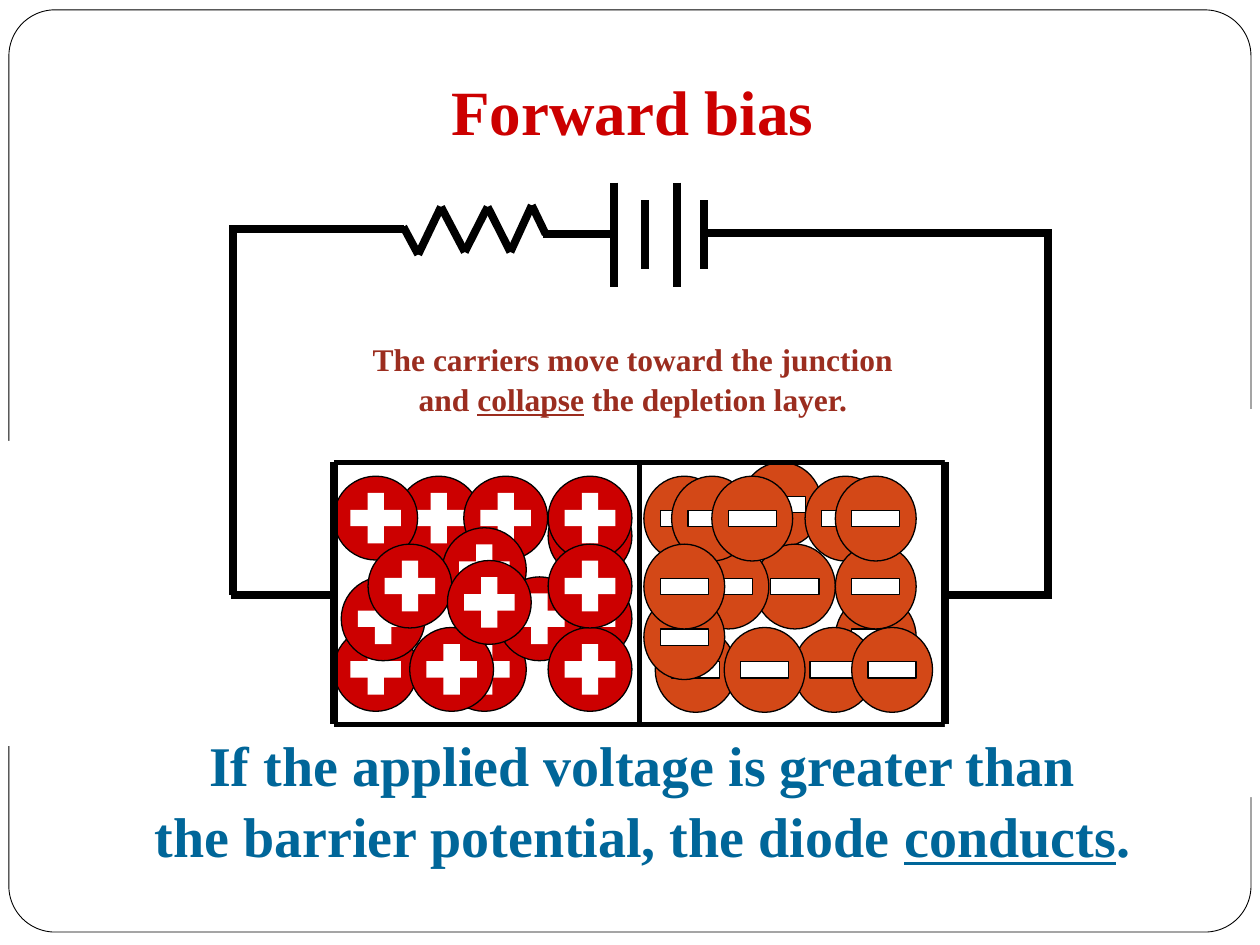
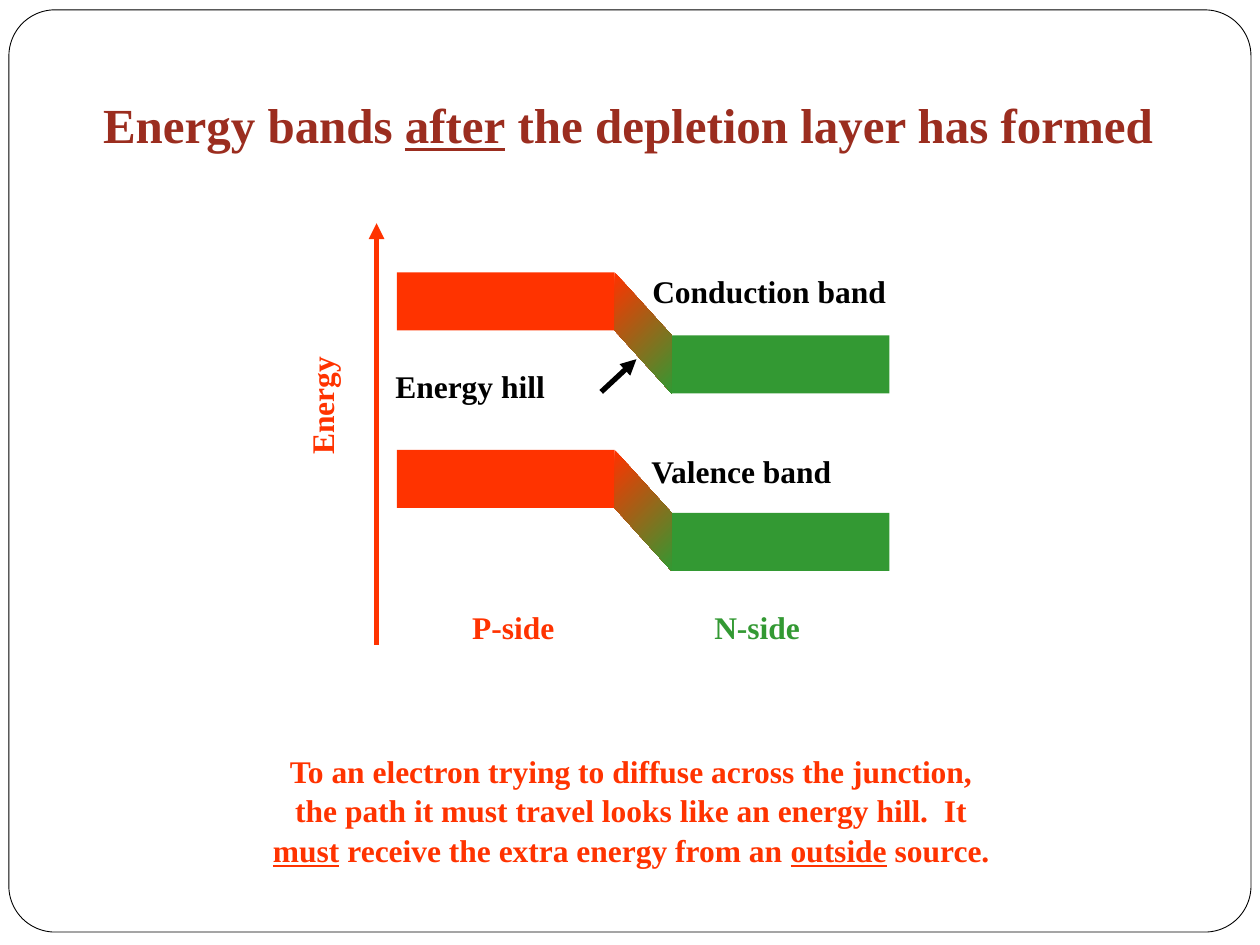
from itertools import pairwise

from lxml import etree
from pptx import Presentation
from pptx.dml.color import RGBColor
from pptx.enum.shapes import MSO_CONNECTOR, MSO_SHAPE
from pptx.enum.text import MSO_ANCHOR, MSO_AUTO_SIZE, PP_ALIGN
from pptx.oxml.ns import qn
from pptx.util import Cm, Pt

RECT, OVAL, ROUNDED = MSO_SHAPE.RECTANGLE, MSO_SHAPE.OVAL, MSO_SHAPE.ROUNDED_RECTANGLE
STRAIGHT = MSO_CONNECTOR.STRAIGHT
LEFT, CENTER = PP_ALIGN.LEFT, PP_ALIGN.CENTER
TOP, MIDDLE = MSO_ANCHOR.TOP, MSO_ANCHOR.MIDDLE
FIT = MSO_AUTO_SIZE.SHAPE_TO_FIT_TEXT

FONT = "Times New Roman"
BLACK, WHITE = "000000", "FFFFFF"
RED, ORANGE, BRICK, BLUE = "CC0000", "D34817", "9B2D1F", "006699"
P_COLOR, N_COLOR = "FF3300", "339933"

ELECTRON_SIZE, HOLE_SIZE = (1.63, 1.71), (1.69, 1.69)
ROWS = (9.6, 10.97, 11.63, 11.99, 12.65)
ROW_1, ROW_2, ROW_3, ROW_4, ROW_5 = ROWS
ELECTRONS = [
    (12.98, ROW_1), (16.84, ROW_4), (14.94, 9.32), (16, ROW_5),
    (15.21, ROW_2), (13.21, ROW_5), (13.87, ROW_2), (13.54, ROW_1),
    (12.98, ROW_4), (16.23, ROW_1), (14.35, ROW_1), (12.98, ROW_2),
    (14.6, ROW_5), (16.84, ROW_2), (16.84, ROW_1), (17.17, ROW_5),
]
HOLES = [
    (8, ROW_1), (6.73, ROW_1), (11.05, ROW_3), (9.35, ROW_1),
    (6.73, ROW_5), (6.88, ROW_3), (11.05, 9.96), (11.05, ROW_1),
    (8.92, ROW_5), (8.92, 10.64), (7.42, ROW_2), (8.26, ROW_5),
    (10.03, ROW_3), (11.05, ROW_5), (11.05, ROW_2), (9.02, 11.3),
]
RESISTOR = [
    (8.13, 4.57), (8.43, 5.13), (8.89, 4.17), (9.37, 5.08),
    (9.83, 4.17), (10.29, 5.08), (10.72, 4.14), (11, 4.72),
]
WIRES = [
    ((8.15, 4.62), (4.62, 4.62)),
    ((4.7, 4.57), (4.7, 11.99)),
    ((4.65, 11.99), (6.81, 11.99)),
    ((10.95, 4.72), (12.34, 4.72)),
    ((14.27, 4.7), (21.21, 4.7)),
    ((21.13, 4.7), (21.13, 11.99)),
    ((21.21, 11.99), (19.05, 11.99)),
]


def rgb(color):
    """Turn a hex string into a colour."""
    return RGBColor.from_string(color)


def style(sp, fill=None, line=None, width=0.75):
    """Set the fill and outline of a shape, without shadow."""
    sp.shadow.inherit = False
    if fill:
        sp.fill.solid()
        sp.fill.fore_color.rgb = rgb(fill)
    else:
        sp.fill.background()
    if line:
        sp.line.color.rgb = rgb(line)
        sp.line.width = Pt(width)
    else:
        sp.line.fill.background()


def add_preset(s, kind, x, y, w, h, fill=None, line=None, width=0.75):
    """Add a preset shape measured in centimetres."""
    sp = s.shapes.add_shape(kind, Cm(x), Cm(y), Cm(w), Cm(h))
    style(sp, fill, line, width)
    return sp


def add_line(s, start, end, color=BLACK, width=4.5, arrow=False):
    """Add a straight line, with an arrowhead at its end if asked."""
    points = [Cm(v) for v in (*start, *end)]
    cn = s.shapes.add_connector(STRAIGHT, *points)
    cn.line.color.rgb = rgb(color)
    cn.line.width = Pt(width)
    if arrow:
        etree.SubElement(cn.line._get_or_add_ln(), qn("a:tailEnd"), type="triangle")
    etree.SubElement(cn._element.spPr, qn("a:effectLst"))


def add_text(s, lines, x, y, w, h=1.27, size=18, color=BLACK, align=LEFT, anchor=TOP):
    """Add bold lines of text; parts between underscores are underlined."""
    tb = s.shapes.add_textbox(Cm(x), Cm(y), Cm(w), Cm(h))
    tf = tb.text_frame
    tf.word_wrap = False
    tf.auto_size = FIT
    tf.vertical_anchor = anchor
    for i, line in enumerate(lines):
        p = tf.add_paragraph() if i else tf.paragraphs[0]
        p.alignment = align
        p.line_spacing = 1.05
        p.font.name = FONT
        p.font.size = Pt(size)
        p.font.bold = True
        p.font.color.rgb = rgb(color)
        for j, part in enumerate(line.split("_")):
            if part:
                r = p.add_run()
                r.text = part
                if j % 2:
                    r.font.underline = True
    return tb


def add_slide(prs):
    """Add a blank slide with the rounded frame."""
    s = prs.slides.add_slide(prs.slide_layouts[6])
    frame = add_preset(s, ROUNDED, 0.18, 0.2, 25.04, 18.59, WHITE, BLACK, 0.5)
    frame.adjustments[0] = 0.05
    return s


def add_bar(s, cx, cy, w, h, line=None):
    """Add a white bar centred on a point."""
    add_preset(s, RECT, cx - w / 2, cy - h / 2, w, h, WHITE, line)


def add_electron(s, x, y):
    """Add an electron with its minus sign."""
    w, h = ELECTRON_SIZE
    add_preset(s, OVAL, x, y, w, h, ORANGE, BLACK)
    add_bar(s, x + w / 2, y + h / 2, 0.97, 0.33, BLACK)


def add_hole(s, x, y):
    """Add a hole with its plus sign."""
    w, h = HOLE_SIZE
    add_preset(s, OVAL, x, y, w, h, RED, BLACK)
    for bar in ((1.02, 0.33), (0.33, 1.02)):
        add_bar(s, x + w / 2, y + h / 2, *bar)


def add_diode(s):
    """Add the carriers, the two halves of the diode and the blank margins."""
    for x, y in ELECTRONS:
        add_electron(s, x, y)
    for x, y in HOLES:
        add_hole(s, x, y)
    for x in (6.73, 12.89):
        add_preset(s, RECT, x, 9.32, 6.16, 5.28, None, BLACK, 3)
    add_preset(s, RECT, 0, 8.89, 6.73, 6.15, WHITE)
    add_preset(s, RECT, 19.05, 8.25, 6.35, 7.82, WHITE)
    for x in (6.73, 19.05):
        add_line(s, (x, 9.32), (x, 14.6))


def add_circuit(s):
    """Add the battery, the resistor and the wires."""
    for x, half in ((12.37, 1.05), (13, 0.69), (13.64, 1.05), (14.2, 0.69)):
        add_line(s, (x, 4.73 - half), (x, 4.73 + half))
    for start, end in [*pairwise(RESISTOR), *WIRES]:
        add_line(s, start, end)


def add_band(s, y):
    """Add an energy band that falls from the P-side to the N-side."""
    p_x, p_end, n_x, w, h, drop = 8, 12.39, 13.54, 4.39, 1.17, 1.27
    add_preset(s, RECT, p_x, y, w, h, P_COLOR)
    add_preset(s, RECT, n_x, y + drop, w, h, N_COLOR)
    fb = s.shapes.build_freeform(Cm(n_x), Cm(y + drop))
    corners = [(p_end, y), (p_end, y + h), (n_x, y + drop + h)]
    fb.add_line_segments([(Cm(a), Cm(b)) for a, b in corners])
    hill = fb.convert_to_shape()
    style(hill)
    hill.fill.gradient()
    hill.fill.gradient_angle = 315
    for stop, color, position in zip(hill.fill.gradient_stops, (P_COLOR, N_COLOR), (0, 1)):
        stop.color.rgb = rgb(color)
        stop.position = position


def forward_bias(prs):
    """Build the slide on forward bias."""
    s = add_slide(prs)
    add_diode(s)
    add_circuit(s)
    add_text(s, ["Forward bias"], 8.84, 1.3, 7.82, 1.78, 36, RED, CENTER, MIDDLE)
    add_text(s, ["The carriers move toward the junction",
                 "and _collapse_ the depletion layer."],
             5.51, 6.48, 14.5, 2.29, 18, BRICK, CENTER, MIDDLE)
    add_text(s, ["If the applied voltage is greater than",
                 "the barrier potential, the diode _conducts_."],
             2.87, 14.6, 20.17, 2.97, 32, BLUE, CENTER, MIDDLE)


def energy_bands(prs):
    """Build the slide on energy bands."""
    s = add_slide(prs)
    add_text(s, ["Energy bands _after_ the depletion layer has formed"],
             1.83, 1.73, 21.72, 1.45, 28, BRICK)
    add_text(s, ["Energy"], 5, 7.21, 3.15, color=P_COLOR).rotation = 270
    add_line(s, (7.59, 13), (7.59, 4.5), P_COLOR, 3, True)
    for y in (5.49, 9.07):
        add_band(s, y)
    add_text(s, ["Conduction band"], 12.9, 5.33, 6.81)
    add_text(s, ["Valence band"], 12.88, 8.94, 5.44)
    add_text(s, ["P-side"], 9.27, 12.09, 2.72, color=P_COLOR)
    add_text(s, ["N-side"], 14.15, 12.09, 2.82, color=N_COLOR)
    add_text(s, ["Energy hill"], 7.72, 7.24, 4.52)
    add_line(s, (12.12, 7.9), (12.83, 7.24), BLACK, 3, True)
    add_text(s, ["To an electron trying to diffuse across the junction,",
                 "the path it must travel looks like an energy hill.  It",
                 "_must_ receive the extra energy from an _outside_ source."],
             2.82, 14.99, 19.81, 3.3, 18, P_COLOR, CENTER)


def main():
    """Build and save the presentation."""
    prs = Presentation()
    prs.slide_width, prs.slide_height = Cm(25.4), Cm(19.05)
    forward_bias(prs)
    energy_bands(prs)
    prs.save("out.pptx")


if __name__ == "__main__":
    main()
